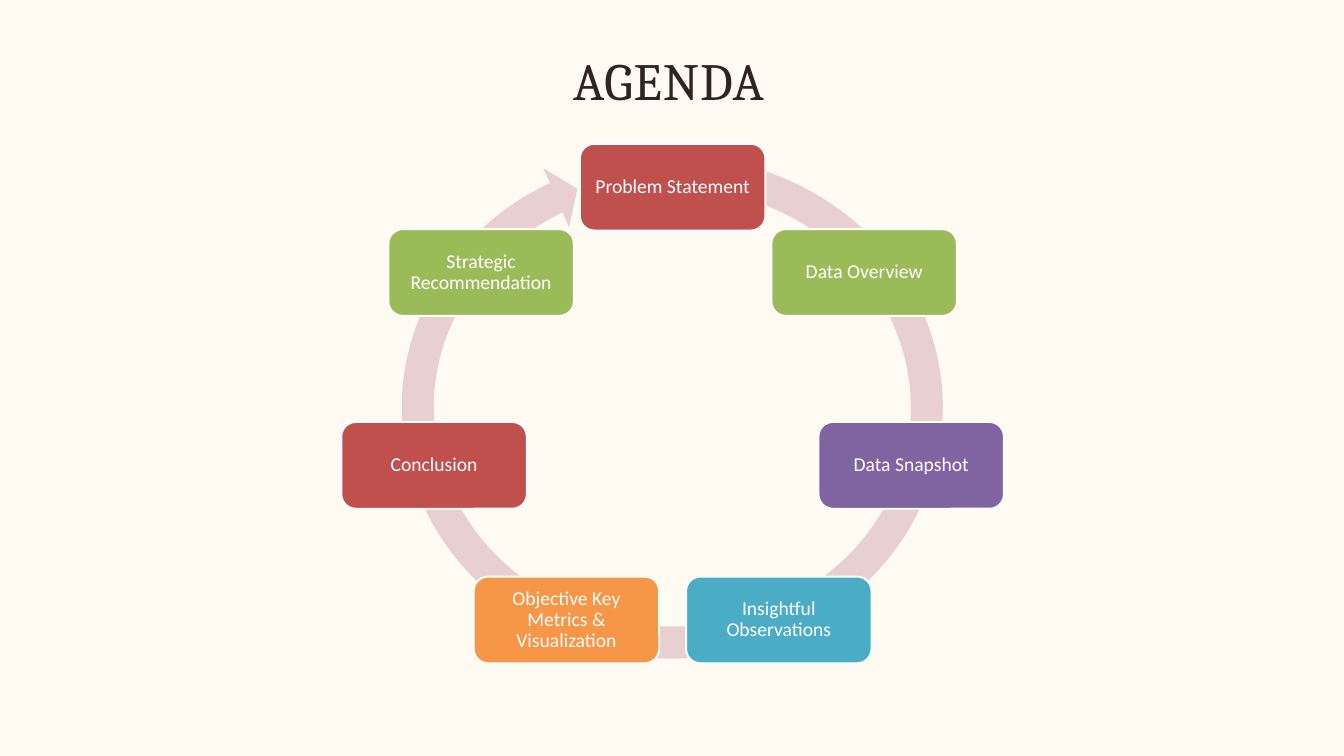
import math

import pptx
import pptx.dml.color
import pptx.enum.shapes
import pptx.enum.text
import pptx.util

RGB = pptx.dml.color.RGBColor
SHAPE = pptx.enum.shapes.MSO_SHAPE
ALIGN = pptx.enum.text.PP_ALIGN
ANCHOR = pptx.enum.text.MSO_ANCHOR

CREAM = RGB(0xFF, 0xFA, 0xF2)
INK = RGB(0x2E, 0x25, 0x21)
WHITE = RGB(0xFF, 0xFF, 0xFF)
PINK = RGB(0xE8, 0xD0, 0xD0)
RED = RGB(0xC0, 0x50, 0x4D)
GREEN = RGB(0x9B, 0xBB, 0x59)
PURPLE = RGB(0x80, 0x64, 0xA2)
TEAL = RGB(0x4B, 0xAC, 0xC6)
ORANGE = RGB(0xF7, 0x96, 0x46)

EMU_PER_PX = 9144  # 100 px to the inch


def px(n):
    return pptx.util.Emu(round(n) * EMU_PER_PX)


class Deck:
    TITLE_FONT, BODY_FONT = "Cambria", "Calibri"

    def __init__(self, width, height):
        self.prs = pptx.Presentation()
        self.prs.slide_width, self.prs.slide_height = px(width), px(height)
        self.s = None

    def add_slide(self, color):
        self.s = self.prs.slides.add_slide(self.prs.slide_layouts[5])
        self.s.background.fill.solid()
        self.s.background.fill.fore_color.rgb = color

    def add_text(self, tf, text, font, size, color, spacing, inset, anchor):
        tf.word_wrap = True
        tf.vertical_anchor = anchor
        tf.margin_left = tf.margin_right = px(inset)
        tf.margin_top = tf.margin_bottom = px(inset)
        p = tf.paragraphs[0]
        p.alignment = ALIGN.CENTER
        p.line_spacing = spacing
        r = p.add_run()
        r.text = text
        r.font.name, r.font.size = font, pptx.util.Pt(size)
        r.font.color.rgb = color
        return r

    def title(self, text, x, y, w, h):
        sp = self.s.shapes.title
        sp.left, sp.top, sp.width, sp.height = map(px, (x, y, w, h))
        r = self.add_text(sp.text_frame, text, self.TITLE_FONT, 56, INK,
                          pptx.util.Pt(78.4), 0, ANCHOR.TOP)
        r.font._element.set("spc", "120")

    def shape(self, kind, x, y, w, h, fill):
        sp = self.s.shapes.add_shape(kind, *map(px, (x, y, w, h)))
        sp.shadow.inherit = False
        sp.fill.solid()
        sp.fill.fore_color.rgb = fill
        sp.line.fill.background()
        return sp

    def ring(self, x, y, w, h, adjustments):
        sp = self.shape(SHAPE.CIRCULAR_ARROW, x, y, w, h, PINK)
        for i, value in enumerate(adjustments):
            sp.adjustments[i] = value

    def card(self, text, cx, cy, w, h, fill):
        sp = self.shape(SHAPE.ROUNDED_RECTANGLE, cx - w / 2, cy - h / 2, w, h, fill)
        sp.line.color.rgb = WHITE
        sp.line.width = pptx.util.Pt(2)
        self.add_text(sp.text_frame, text, self.BODY_FONT, 21, WHITE, 0.9, 9,
                      ANCHOR.MIDDLE)


def main():
    deck = Deck(2000, 1125)
    deck.add_slide(CREAM)
    deck.title("AGENDA", 175, 56, 1640, 105)

    # Ring arrow behind the cards
    deck.ring(574, 208, 853, 796, (0.06, 3.31, 144.6, 169.82, 0.06))

    # Agenda cards, clockwise from the top at equal angles
    cards = [
        ("Problem Statement", RED),
        ("Data Overview", GREEN),
        ("Data Snapshot", PURPLE),
        ("Insightful Observations", TEAL),
        ("Objective Key Metrics & Visualization", ORANGE),
        ("Conclusion", RED),
        ("Strategic Recommendation", GREEN),
    ]
    cx, cy, rx, ry = 1001, 617, 364, 339
    for i, (text, color) in enumerate(cards):
        angle = 2 * math.pi * i / len(cards)
        deck.card(text, cx + rx * math.sin(angle), cy - ry * math.cos(angle),
                  276, 129, color)

    deck.prs.save("out.pptx")


if __name__ == "__main__":
    main()
